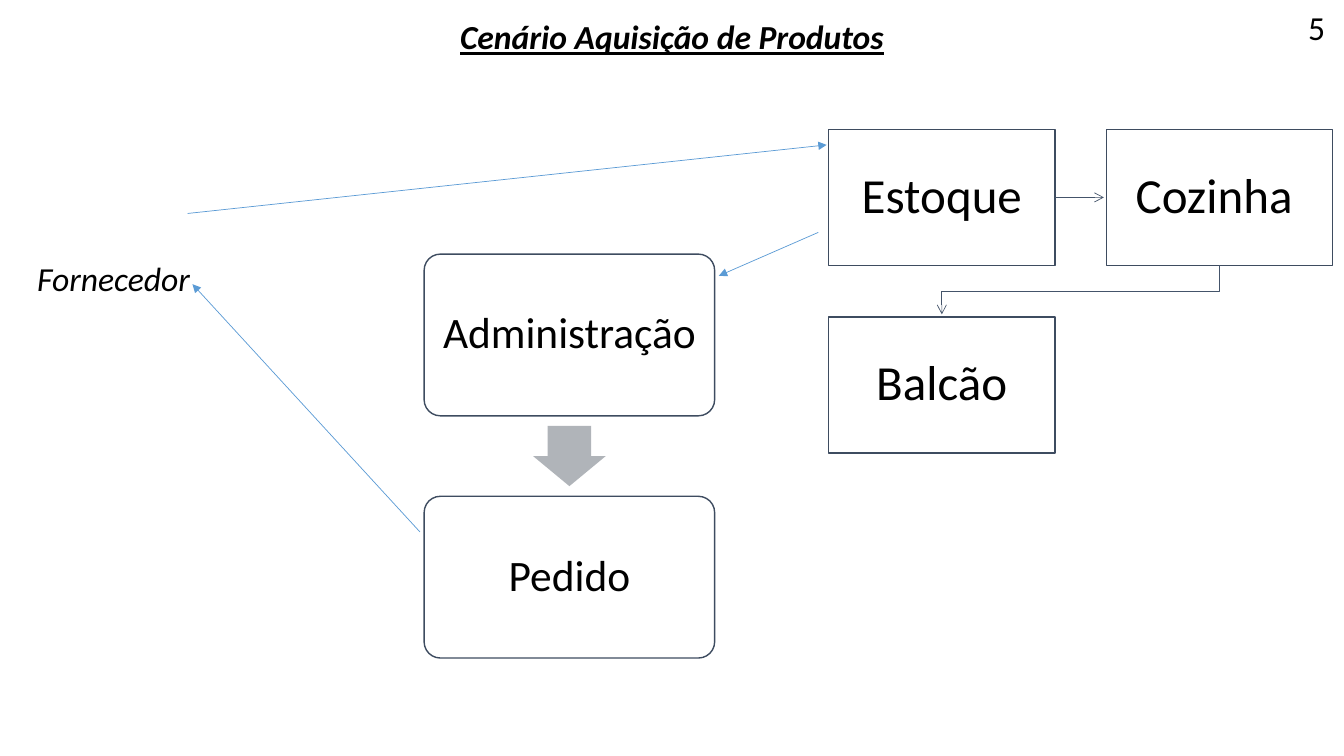
"""Builds the product acquisition flow slide."""
from lxml.etree import SubElement
from pptx import Presentation
from pptx.dml.color import RGBColor
from pptx.enum.shapes import MSO_CONNECTOR as Connector, MSO_SHAPE as Shape
from pptx.enum.text import MSO_ANCHOR as Anchor, MSO_AUTO_SIZE as AutoSize, PP_ALIGN as Align
from pptx.oxml.ns import qn
from pptx.util import Pt

BLACK, WHITE = "000000", "FFFFFF"
OUTLINE, FLOW, LINK, GRAY = "3E4C60", "44546A", "5B9BD5", "B0B4B9"


def color(value):
    return RGBColor.from_string(value)


class FlowSlide:
    font_name = "Calibri"

    def __init__(self, slide):
        self.slide = slide

    def set_text(self, shape, text, size, align=Align.CENTER, bold=False, italic=False, underline=False):
        shape.text_frame.text = text
        paragraph = shape.text_frame.paragraphs[0]
        paragraph.alignment = align
        font = paragraph.font
        font.name, font.size = self.font_name, Pt(size)
        font.bold, font.italic, font.underline = bold, italic, underline
        font.color.rgb = color(BLACK)
        return paragraph

    def title(self, text, left, top, width, height):
        shape = self.slide.shapes.title
        shape.left, shape.top, shape.width, shape.height = map(Pt, (left, top, width, height))
        frame = shape.text_frame
        frame.auto_size, frame.vertical_anchor = AutoSize.NONE, Anchor.TOP
        self.set_text(shape, text, 24, bold=True, italic=True, underline=True)

    def label(self, text, left, top, width, height, align=Align.LEFT, italic=False):
        shape = self.slide.shapes.add_textbox(Pt(left), Pt(top), Pt(width), Pt(height))
        self.set_text(shape, text, 24, align, italic=italic)

    def block(self, kind, left, top, width, height, fill, adjustments=()):
        shape = self.slide.shapes.add_shape(kind, Pt(left), Pt(top), Pt(width), Pt(height))
        shape.shadow.inherit = False
        shape.fill.solid()
        shape.fill.fore_color.rgb = color(fill)
        shape.line.fill.background()
        for index, value in enumerate(adjustments):
            shape.adjustments[index] = value
        return shape

    def box(self, text, size, kind, left, top, width, height, adjustments=()):
        shape = self.block(kind, left, top, width, height, WHITE, adjustments)
        shape.line.color.rgb = color(OUTLINE)
        shape.line.width = Pt(1)
        frame = shape.text_frame
        frame.word_wrap, frame.vertical_anchor = True, Anchor.MIDDLE
        frame.margin_left = frame.margin_right = Pt(4)
        self.set_text(shape, text, size).line_spacing = 0.9

    def arrow_line(self, shape, line_color, head):
        shape.line.color.rgb = color(line_color)
        shape.line.width = Pt(0.5)
        properties = shape.element.spPr
        SubElement(properties.find(qn("a:ln")), qn("a:tailEnd"), type=head)
        if properties.find(qn("a:effectLst")) is None:
            SubElement(properties, qn("a:effectLst"))

    def arrow(self, start, end, line_color, head):
        shape = self.slide.shapes.add_connector(Connector.STRAIGHT, *map(Pt, start + end))
        self.arrow_line(shape, line_color, head)

    def bent_arrow(self, points, line_color, head):
        first, *rest = [(Pt(x), Pt(y)) for x, y in points]
        builder = self.slide.shapes.build_freeform(*first)
        builder.add_line_segments(rest, close=False)
        shape = builder.convert_to_shape()
        shape.fill.background()
        self.arrow_line(shape, line_color, head)


presentation = Presentation()
presentation.slide_width, presentation.slide_height = Pt(960), Pt(540)
flow = FlowSlide(presentation.slides.add_slide(presentation.slide_layouts[5]))

flow.title("Cenário Aquisição de Produtos", 0, 8, 960, 36)
flow.label("Fornecedor", 19.5, 181, 125, 36, italic=True)
flow.label("5", 921, 1.5, 39, 36, Align.CENTER)

area_left, area_top, area_width, area_height = 592, 92.5, 161.5, 97
column_step, row_step = 198.5, 134
for name, column, row in [("Estoque", 0, 0), ("Cozinha\u00a0", 1, 0), ("Balcão", 0, 1)]:
    flow.box(name, 35, Shape.RECTANGLE, area_left + column * column_step,
             area_top + row * row_step, area_width, area_height)

stock_middle = area_top + area_height / 2
stock_right = area_left + area_width
flow.arrow((stock_right, stock_middle), (stock_right + 35, stock_middle), FLOW, "arrow")

counter_center = area_left + area_width / 2
kitchen_center = counter_center + column_step
kitchen_bottom = area_top + area_height
bend = kitchen_bottom + (row_step - area_height) / 2
flow.bent_arrow([(kitchen_center, kitchen_bottom), (kitchen_center, bend),
                 (counter_center, bend), (counter_center, area_top + row_step - 2)],
                FLOW, "arrow")

for start, end in [((134, 152.5), (590.5, 103.5)),
                   ((584.5, 166), (513.5, 197)),
                   ((300, 380), (137.5, 203))]:
    flow.arrow(start, end, LINK, "triangle")

step_left, step_top, step_width, step_height, step_pitch = 303, 181.5, 207.5, 115.5, 173
for row, name in enumerate(["Administração", "Pedido"]):
    flow.box(name, 31, Shape.ROUNDED_RECTANGLE, step_left, step_top + row * step_pitch,
             step_width, step_height, [0.1])

down_width, down_height = 52, 43
flow.block(Shape.DOWN_ARROW, step_left + (step_width - down_width) / 2,
           step_top + (step_height + step_pitch - down_height) / 2,
           down_width, down_height, GRAY, [0.6, 0.5])

presentation.save("out.pptx")
